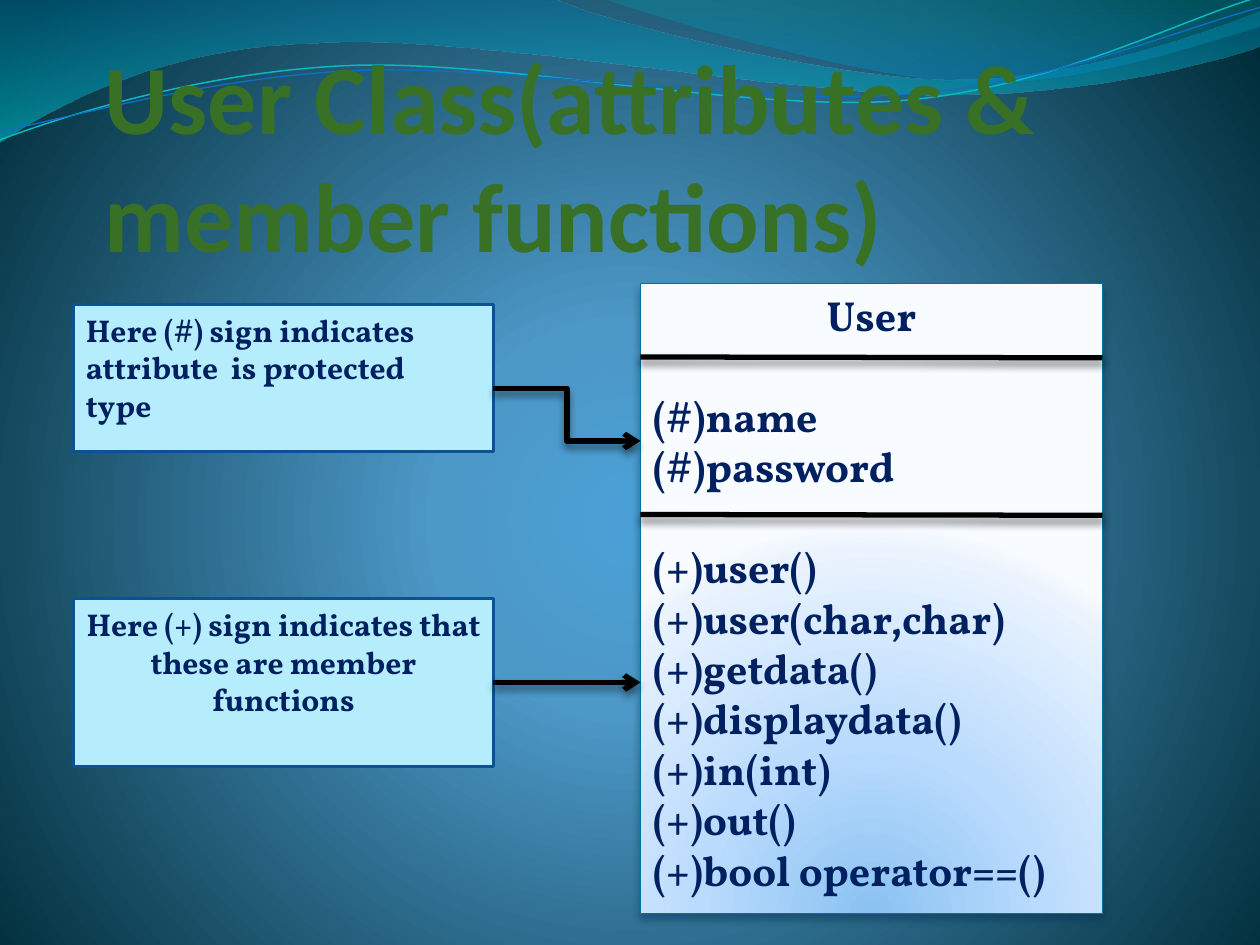
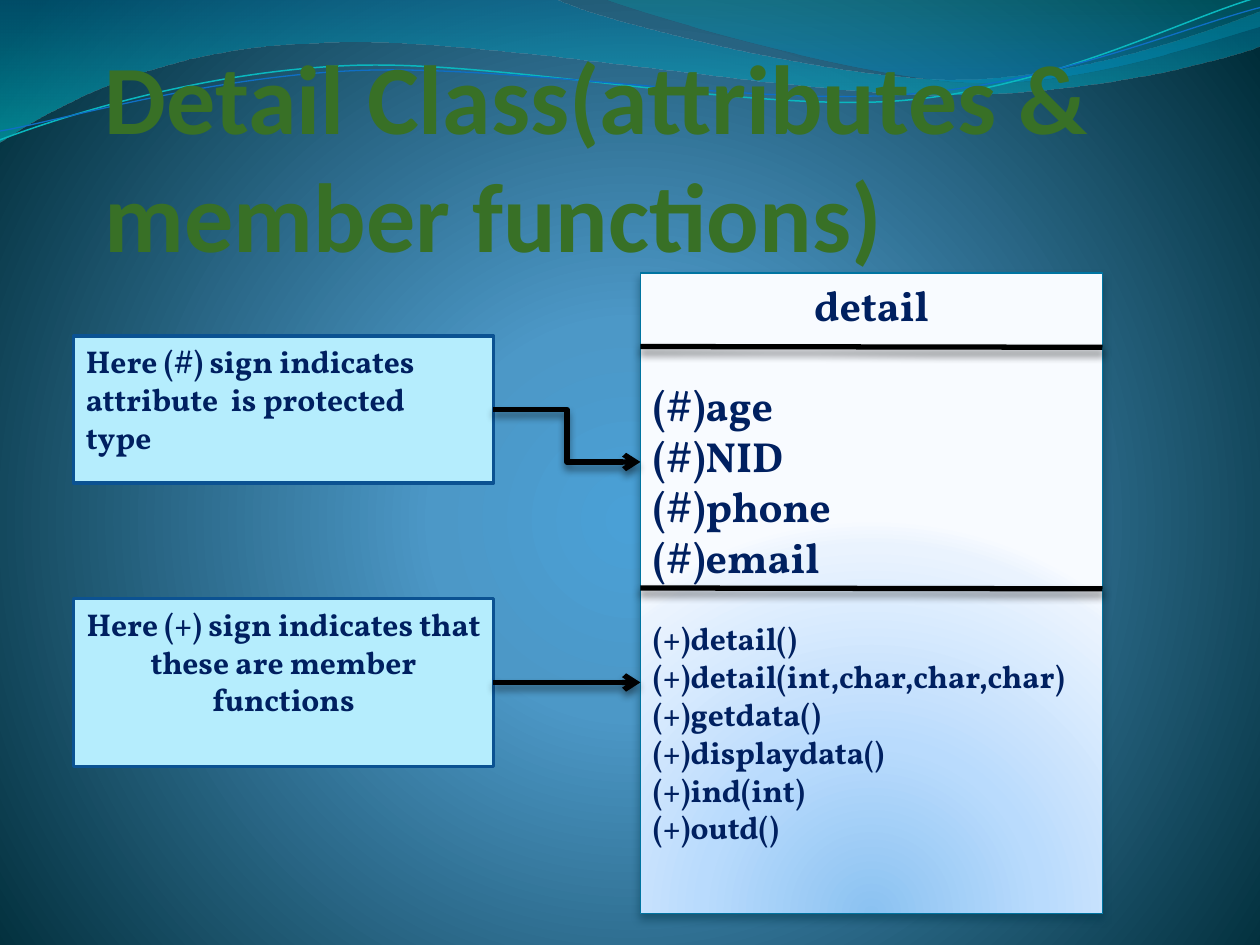
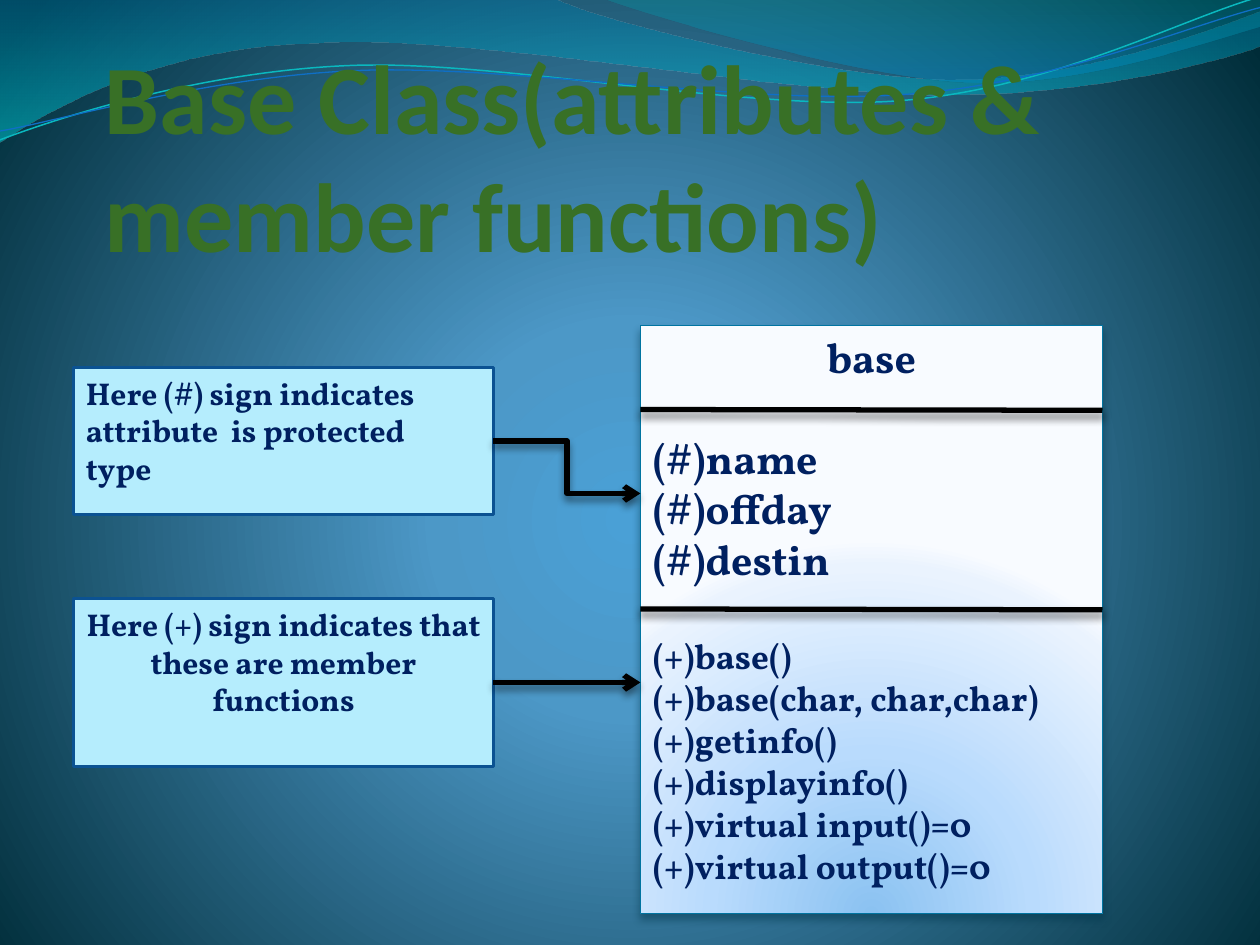
from dataclasses import dataclass
from math import cos, radians, sin
from typing import Optional

from lxml.etree import SubElement
from pptx import Presentation
from pptx.dml.color import RGBColor
from pptx.enum.shapes import MSO_CONNECTOR, MSO_SHAPE
from pptx.enum.text import MSO_ANCHOR, PP_ALIGN
from pptx.oxml import parse_xml
from pptx.oxml.ns import nsdecls, qn
from pptx.util import Inches, Pt

COLORS = {
    "title": "387026", "text": "002060", "rule": "000000",
    "note": "B5EDFD", "note_edge": "0B5292",
    "class_edge": "0074A1", "class_shadow": "00374C",
    "wave_cyan": "0AB8BF", "wave_blue": "0F6FC6",
}
BACKDROP = [(0, "4AA0D6", 100), (25, "4C98C7", 100), (100, "002C38", 100)]
CLASS_GLOW = [(0, "8BC2F1", 100), (43, "B9DBFD", 100),
              (93, "EAF3FE", 100), (100, "F8FBFF", 100)]
TITLE_FONT, BODY_FONT = "Calibri", "Vollkorn"
LINE_HEIGHT = 1.2

WIDTH, HEIGHT = Inches(10), Inches(7.5)
COLUMNS, ROWS = 120, 90
NOTE_LEFT, NOTE_RIGHT = 7, 47
CLASS_LEFT, CLASS_RIGHT, CLASS_BOTTOM = 61, 105, 87
LINK_DROP = 5
DIVIDER_DROP = 0.08
WAVE_TILT = -2.7


@dataclass(frozen=True)
class Wave:
    start: tuple[float, float]
    segments: list[tuple[float, ...]]
    stops: Optional[list[tuple[int, str, int]]] = None
    color: str = ""
    weight: float = 0
    pivot: Optional[tuple[float, float]] = None


@dataclass(frozen=True)
class ClassCard:
    title: str
    name: str
    attributes: list[str]
    functions: list[str]
    function_size: int
    gap_size: int
    top: int
    dividers: tuple[int, int]
    note_top: int
    link_row: int


WAVES = [
    Wave((0, 0), [(44, -0.1), (47.6, 1.7, 66.4, 6.3, 75.8, 6.3),
                  (85.3, 6.3, 95.8, 2.6, 100, 0.9), (100.1, 3.6),
                  (98.3, 4.4, 87, 7.6, 74.6, 7.5),
                  (62.2, 7.5, 38.2, 2.8, 25.7, 3.4),
                  (12.9, 3.6, 4.6, 8.3, -0.1, 11.3), (0, 0)],
         stops=[(0, "0074A1", 45), (100, "00C6CF", 55)]),
    Wave((47.9, -0.1), [(50.9, 1.1, 68.2, 6.2, 76.9, 6.5),
                        (85.6, 6.9, 96.1, 3.2, 100, 2.1), (100, 0), (47.9, -0.1)],
         stops=[(0, "00A1A9", 30), (80, "008BBF", 45)]),
    Wave((0, 11.1), [(4.8, 9.3, 15.8, 5.7, 27.7, 5.2),
                     (39.5, 4.7, 59.3, 8.9, 71.3, 8),
                     (83.3, 7.1, 93.8, 1.5, 99.8, -0.2)],
         color="wave_cyan", weight=0.85, pivot=(49.9, 5.75)),
    Wave((0, 10.4), [(4.7, 9.6, 16.4, 6.1, 28.3, 5.6),
                     (40.3, 5.1, 59.7, 8.4, 71.7, 7.5),
                     (83.6, 6.7, 94.1, 2.1, 100, 0.6)],
         color="wave_blue", weight=0.75, pivot=(49.95, 5.9)),
]

CARDS = [
    ClassCard("User Class(attributes & member functions)", "User",
              ["(#)name", "(#)password"],
              ["(+)user()", "(+)user(char,char)", "(+)getdata()", "(+)displaydata()",
               "(+)in(int)", "(+)out()", "(+)bool operator==()"],
              24, 24, 27, (34, 49), 29, 37),
    ClassCard("Detail Class(attributes & member functions)", "detail",
              ["(#)age", "(#)NID", "(#)phone", "(#)email"],
              ["(+)detail()", "(+)detail(int,char,char,char)", "(+)getdata()",
               "(+)displaydata()", "(+)ind(int)", "(+)outd()"],
              18, 18, 26, (33, 56), 32, 39),
    ClassCard("Base Class(attributes & member functions)", "base",
              ["(#)name", "(#)offday", "(#)destin"],
              ["(+)base()", "(+)base(char, char,char)", "(+)getinfo()",
               "(+)displayinfo()", "(+)virtual input()=0", "(+)virtual output()=0"],
              20, 24, 31, (39, 58), 35, 42),
]


def col(count: float) -> int:
    return round(WIDTH * count / COLUMNS)


def row(count: float) -> int:
    return round(HEIGHT * count / ROWS)


def rgb(name: str) -> RGBColor:
    return RGBColor.from_string(COLORS[name])


def set_gradient(owner, stops: list[tuple[int, str, int]], direction: str) -> None:
    marks = ""
    for place, color, opacity in stops:
        alpha = f'<a:alpha val="{opacity * 1000}"/>' if opacity < 100 else ""
        marks += (f'<a:gs pos="{place * 1000}"><a:srgbClr val="{color}">'
                  f'{alpha}</a:srgbClr></a:gs>')
    gradient = parse_xml(f'<a:gradFill {nsdecls("a")} rotWithShape="1">'
                         f'<a:gsLst>{marks}</a:gsLst>{direction}</a:gradFill>')
    owner.replace(owner.find(qn("a:solidFill")), gradient)


def radial(left: int, top: int, right: int, bottom: int) -> str:
    return (f'<a:path path="circle"><a:fillToRect l="{left * 1000}" t="{top * 1000}" '
            f'r="{right * 1000}" b="{bottom * 1000}"/></a:path>')


def add_shadow(shape, color: str) -> None:
    shape.element.spPr.append(parse_xml(
        f'<a:effectLst {nsdecls("a")}><a:outerShdw blurRad="{Pt(4.5)}" dist="{Pt(3)}" '
        f'dir="5400000" rotWithShape="0"><a:srgbClr val="{COLORS[color]}">'
        f'<a:alpha val="48000"/></a:srgbClr></a:outerShdw></a:effectLst>'))


def write(frame, text: str, *, size: float, font: str = BODY_FONT, color: str = "text",
          align: PP_ALIGN = PP_ALIGN.LEFT, before: float = 0) -> None:
    paragraph = frame.add_paragraph() if frame.text else frame.paragraphs[0]
    paragraph.alignment = align
    paragraph.space_before = Pt(before)
    run = paragraph.add_run()
    run.text = text
    run.font.size, run.font.name, run.font.bold = Pt(size), font, True
    run.font.color.rgb = rgb(color)


def wave_points(wave: Wave) -> list[tuple[int, int]]:
    points = [wave.start]
    for segment in wave.segments:
        points += zip(segment[::2], segment[1::2])
    if wave.pivot:
        (px, py), angle = wave.pivot, radians(-WAVE_TILT)
        points = [(px + (x - px) * cos(angle) - (y - py) * sin(angle),
                   py + (x - px) * sin(angle) + (y - py) * cos(angle))
                  for x, y in points]
    return [(round(WIDTH * x / 100), round(WIDTH * y / 100)) for x, y in points]


def bend(ribbon, segments: list[tuple[float, ...]]) -> None:
    steps = iter(list(ribbon.element.iter(qn("a:lnTo"))))
    for segment in segments:
        group = [next(steps) for _ in segment[::2]]
        if len(group) == 1:
            continue
        outline = group[0].getparent()
        curve = parse_xml(f'<a:cubicBezTo {nsdecls("a")}/>')
        outline.insert(outline.index(group[0]), curve)
        for step in group:
            curve.append(step[0])
            outline.remove(step)


def draw_wave(slide, wave: Wave) -> None:
    first, *rest = wave_points(wave)
    builder = slide.shapes.build_freeform(*first)
    builder.add_line_segments(rest, close=wave.stops is not None)
    ribbon = builder.convert_to_shape()
    bend(ribbon, wave.segments)
    ribbon.shadow.inherit = False
    if wave.stops:
        ribbon.line.fill.background()
        ribbon.fill.solid()
        set_gradient(ribbon.element.spPr, wave.stops, '<a:lin ang="5400000" scaled="1"/>')
    else:
        ribbon.rotation = WAVE_TILT
        ribbon.fill.background()
        ribbon.line.color.rgb = rgb(wave.color)
        ribbon.line.width = Pt(wave.weight)


def draw_backdrop(slide) -> None:
    slide.background.fill.solid()
    set_gradient(slide.element.find(".//" + qn("p:bgPr")), BACKDROP,
                 radial(10, 110, 10, 100))
    for wave in WAVES:
        draw_wave(slide, wave)


def draw_title(slide, title: str) -> None:
    frame = slide.shapes.add_textbox(col(10), row(8), col(102), row(17.9)).text_frame
    frame.word_wrap = True
    frame.vertical_anchor = MSO_ANCHOR.BOTTOM
    frame.margin_left = frame.margin_right = frame.margin_top = frame.margin_bottom = 0
    write(frame, title, size=56, font=TITLE_FONT, color="title")


def draw_panel(slide, left: int, top: int, right: int, bottom: int,
               edge: str, weight: float):
    panel = slide.shapes.add_shape(MSO_SHAPE.FLOWCHART_PROCESS, col(left), row(top),
                                   col(right - left), row(bottom - top))
    panel.fill.solid()
    panel.line.color.rgb = rgb(edge)
    panel.line.width = Pt(weight)
    panel.text_frame.word_wrap = True
    panel.text_frame.vertical_anchor = MSO_ANCHOR.TOP
    return panel


def draw_note(slide, top: int, height: int, lines: list[str], align: PP_ALIGN) -> None:
    note = draw_panel(slide, NOTE_LEFT, top, NOTE_RIGHT, top + height, "note_edge", 2)
    note.shadow.inherit = False
    note.fill.fore_color.rgb = rgb("note")
    for line in lines:
        write(note.text_frame, line, size=18, align=align)


def draw_rule(slide, kind: MSO_CONNECTOR, start: tuple[float, float],
              end: tuple[float, float], arrow: bool = False) -> None:
    rule = slide.shapes.add_connector(kind, col(start[0]), row(start[1]),
                                      col(end[0]), row(end[1]))
    rule.line.color.rgb = rgb("rule")
    rule.line.width = Pt(3)
    if arrow:
        SubElement(rule.element.spPr.find(qn("a:ln")), qn("a:tailEnd"), type="arrow")
    add_shadow(rule, "rule")


def draw_class(slide, card: ClassCard) -> None:
    panel = draw_panel(slide, CLASS_LEFT, card.top, CLASS_RIGHT, CLASS_BOTTOM,
                       "class_edge", 0.75)
    set_gradient(panel.element.spPr, CLASS_GLOW, radial(50, 130, 50, -30))
    add_shadow(panel, "class_shadow")
    write(panel.text_frame, card.name, size=24, align=PP_ALIGN.CENTER)
    for members, size, gap in ((card.attributes, 24, 24),
                               (card.functions, card.function_size, card.gap_size)):
        for index, member in enumerate(members):
            write(panel.text_frame, member, size=size,
                  before=0 if index else gap * LINE_HEIGHT)
    for divider in card.dividers:
        draw_rule(slide, MSO_CONNECTOR.STRAIGHT, (CLASS_LEFT, divider),
                  (CLASS_RIGHT, divider + DIVIDER_DROP))


def draw_card(slide, card: ClassCard) -> None:
    draw_backdrop(slide)
    draw_title(slide, card.title)
    draw_class(slide, card)
    draw_note(slide, card.note_top, 14,
              ["Here (#) sign indicates attribute  is protected", "type"], PP_ALIGN.LEFT)
    draw_note(slide, 57, 16,
              ["Here (+) sign indicates that these are member functions"], PP_ALIGN.CENTER)
    for start, end in ((card.link_row, card.link_row + LINK_DROP), (65, 65)):
        draw_rule(slide, MSO_CONNECTOR.ELBOW, (NOTE_RIGHT, start), (CLASS_LEFT, end),
                  arrow=True)


def main() -> None:
    deck = Presentation()
    deck.slide_width, deck.slide_height = WIDTH, HEIGHT
    for card in CARDS:
        draw_card(deck.slides.add_slide(deck.slide_layouts[6]), card)
    deck.save("out.pptx")


main()
